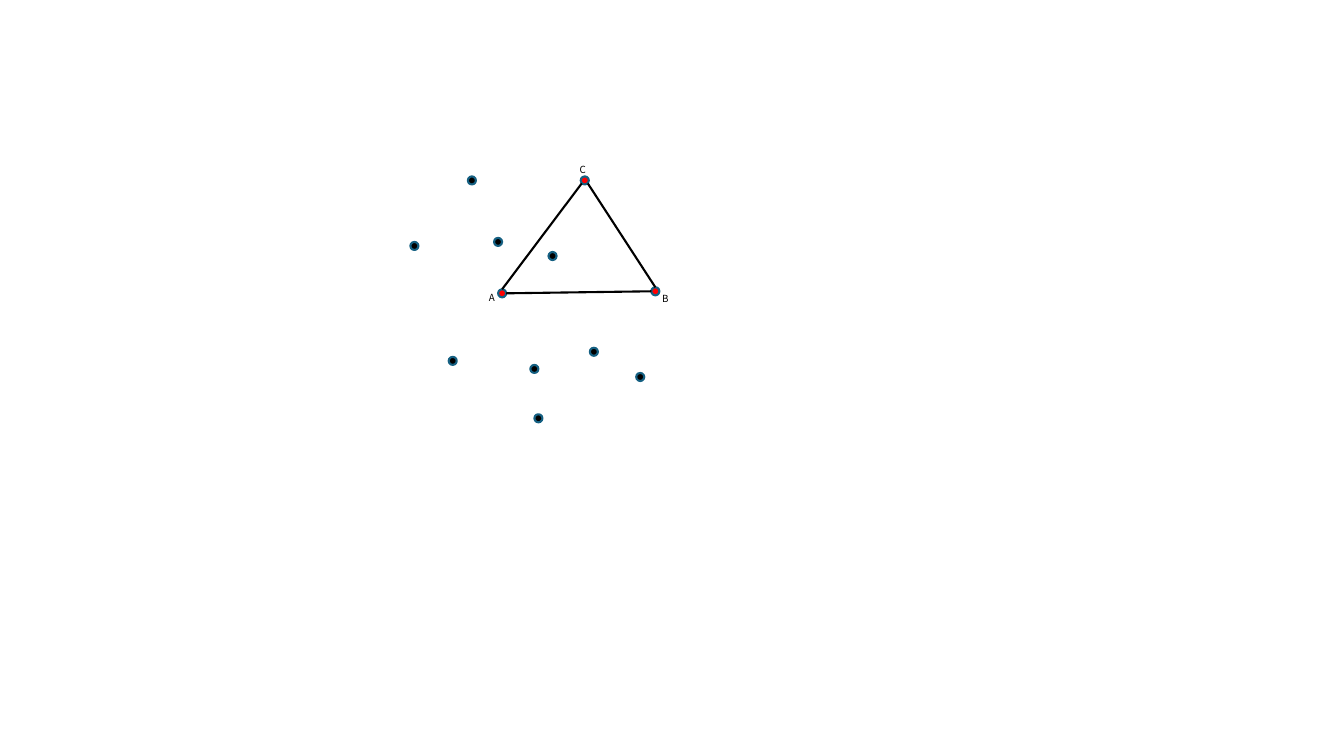
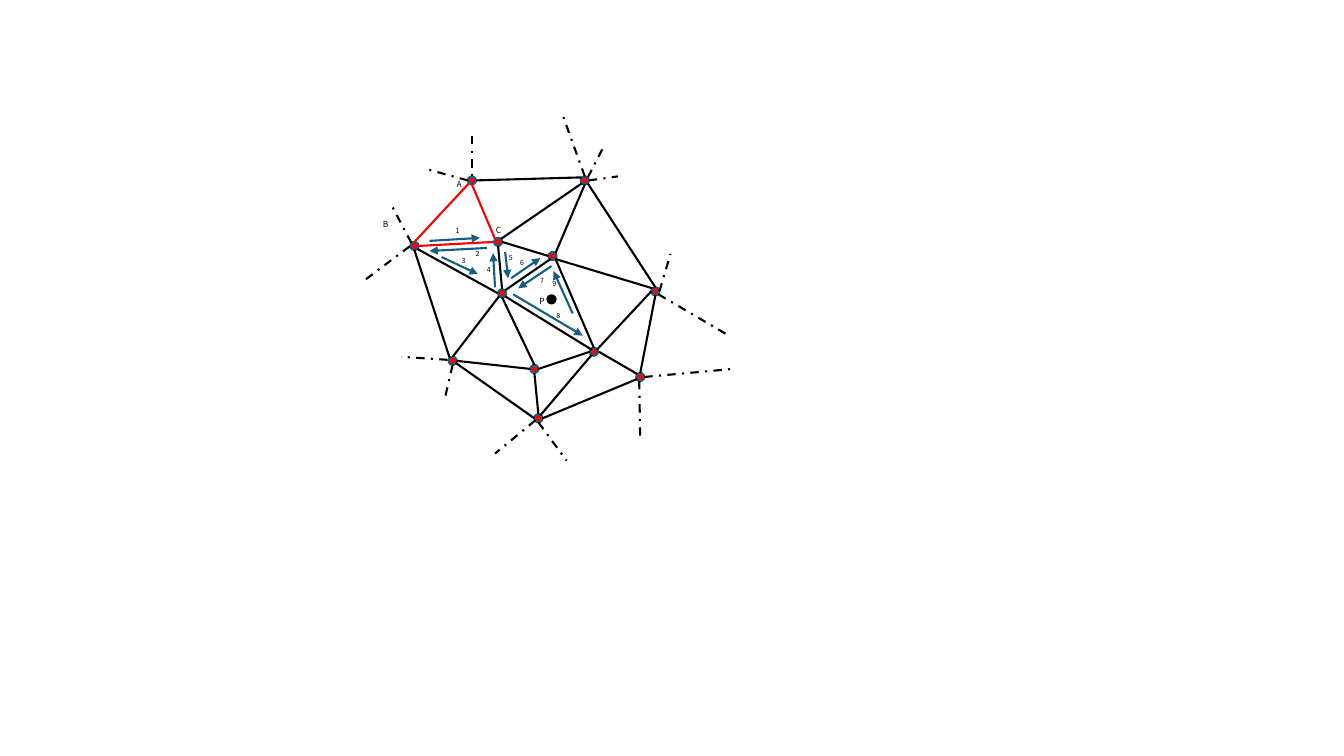
"""Build two slides showing a triangulated point set and a walk through it to point P."""
import lxml.etree
import pptx
import pptx.dml.color
import pptx.enum.dml
import pptx.enum.shapes
import pptx.enum.text
import pptx.oxml
import pptx.oxml.ns
import pptx.util

Inches = pptx.util.Inches
RGBColor = pptx.dml.color.RGBColor

BLACK = RGBColor(0x00, 0x00, 0x00)
RED = RGBColor(0xFF, 0x00, 0x00)
TEAL = RGBColor(0x15, 0x60, 0x82)
FONT = "Noto Sans CJK SC"
DOT_SIZE = 0.08
LINE_WIDTH = 1.5
LABEL_BOXES = {7: (0.26, 0.22), 6: (0.25, 0.2), 5: (0.24, 0.19)}

TRIANGLE_POINTS = [(5.76, 1.75), (6.46, 2.85), (4.94, 2.87)]
OTHER_POINTS = [
    (5.3, 4.11), (6.31, 3.7), (4.45, 3.54), (4.64, 1.75), (4.07, 2.4),
    (5.26, 3.62), (5.85, 3.45), (5.44, 2.5), (4.9, 2.36),
]
TARGET_POINT = (5.43, 2.93)

SHARED_EDGE = (5.83, 1.82, 6.5, 2.85)
TRIANGLE_EDGES = [(5.77, 1.82, 4.98, 2.87), (5.02, 2.91, 6.46, 2.89), SHARED_EDGE]
TRIANGLE_LABELS = [("A", 4.75, 2.84), ("C", 5.65, 1.57), ("B", 6.47, 2.85)]

MESH_EDGES = [
    (4.11, 2.48, 4.46, 3.55), (5.3, 4.15, 4.52, 3.6), (6.32, 3.76, 5.38, 4.15),
    (6.5, 2.93, 6.35, 3.7), (5.77, 1.76, 4.72, 1.79), SHARED_EDGE,
    (5.94, 3.49, 6.32, 3.71), (5.34, 3.66, 5.85, 3.49), (5.3, 3.7, 5.34, 4.11),
    (4.53, 3.58, 5.26, 3.66), (5.36, 4.12, 5.87, 3.52), (4.95, 2.94, 4.49, 3.54),
    (5.01, 2.94, 5.87, 3.47), (4.94, 2.44, 4.98, 2.87), (5.8, 1.83, 5.51, 2.51),
    (5.51, 2.57, 5.89, 3.45), (4.97, 2.37, 5.77, 1.82), (5.51, 2.57, 6.47, 2.86),
    (5.92, 3.47, 6.46, 2.89), (4.14, 2.47, 4.94, 2.91), (5.46, 2.57, 5.01, 2.88),
    (4.98, 2.4, 5.44, 2.54), (4.98, 2.95, 5.3, 3.62),
]
START_EDGES = [(4.65, 1.82, 4.11, 2.4), (4.68, 1.83, 4.91, 2.37), (4.15, 2.44, 4.9, 2.4)]
OUTER_EDGES = [
    (6.34, 3.78, 6.35, 4.38), (6.54, 2.89, 6.65, 2.52), (5.83, 1.76, 6, 1.43),
    (4.68, 1.35, 4.68, 1.75), (5.34, 4.19, 5.62, 4.57), (4.44, 3.57, 3.98, 3.54),
    (3.63, 2.77, 4.07, 2.44), (6.39, 3.74, 7.27, 3.66), (6.53, 2.92, 7.23, 3.33),
    (5.84, 1.79, 6.13, 1.75), (4.64, 1.79, 4.2, 1.67), (4.08, 2.41, 3.88, 2.03),
    (4.49, 3.62, 4.41, 3.96), (5.8, 1.75, 5.58, 1.14), (5.31, 4.17, 4.91, 4.5),
]
MESH_LABELS = [("A", 4.43, 1.73), ("B", 3.7, 2.12), ("C", 4.82, 2.18), ("P", 5.25, 2.89)]
WALK_STEPS = [
    ((4.26, 2.39, 4.76, 2.36), (4.42, 2.2)),
    ((4.83, 2.46, 4.26, 2.49), (4.62, 2.43)),
    ((4.38, 2.55, 4.74, 2.72), (4.48, 2.5)),
    ((4.91, 2.85, 4.89, 2.51), (4.73, 2.58)),
    ((5.01, 2.5, 5.04, 2.76), (4.95, 2.47)),
    ((5.07, 2.76, 5.36, 2.56), (5.06, 2.52)),
    ((5.47, 2.64, 5.14, 2.86), (5.26, 2.69)),
    ((5.09, 2.92, 5.78, 3.33), (5.42, 3.04)),
    ((5.68, 3.11, 5.49, 2.69), (5.38, 2.72)),
]


def add_dots(slide, points, fill_color, line_color=TEAL):
    for left, top in points:
        dot = slide.shapes.add_shape(
            pptx.enum.shapes.MSO_SHAPE.OVAL,
            Inches(left), Inches(top), Inches(DOT_SIZE), Inches(DOT_SIZE))
        dot.shadow.inherit = False
        dot.fill.solid()
        dot.fill.fore_color.rgb = fill_color
        dot.line.color.rgb = line_color
        dot.line.width = pptx.util.Pt(LINE_WIDTH)


def add_lines(slide, edges, color=BLACK, dashed=False, arrow=False):
    for edge in edges:
        connector = slide.shapes.add_connector(
            pptx.enum.shapes.MSO_CONNECTOR.STRAIGHT, *map(Inches, edge))
        connector.line.color.rgb = color
        connector.line.width = pptx.util.Pt(LINE_WIDTH)
        if dashed:
            connector.line.dash_style = pptx.enum.dml.MSO_LINE.DASH_DOT
        properties = connector._element.spPr
        if arrow:
            outline = properties.find(pptx.oxml.ns.qn("a:ln"))
            lxml.etree.SubElement(outline, pptx.oxml.ns.qn("a:tailEnd"), type="triangle")
        lxml.etree.SubElement(properties, pptx.oxml.ns.qn("a:effectLst"))


def add_labels(slide, labels, size):
    width, height = LABEL_BOXES[size]
    for text, left, top in labels:
        box = slide.shapes.add_textbox(
            Inches(left), Inches(top), Inches(width), Inches(height))
        frame = box.text_frame
        frame.word_wrap = False
        frame.auto_size = pptx.enum.text.MSO_AUTO_SIZE.SHAPE_TO_FIT_TEXT
        run = frame.paragraphs[0].add_run()
        run.text = text
        run.font.name = FONT
        run.font.size = pptx.util.Pt(size)
        run.font.color.rgb = BLACK


def build_triangle_slide(slide):
    add_dots(slide, OTHER_POINTS, BLACK)
    add_dots(slide, TRIANGLE_POINTS, RED)
    add_lines(slide, TRIANGLE_EDGES)
    add_labels(slide, TRIANGLE_LABELS, 7)


def build_walk_slide(slide):
    add_dots(slide, OTHER_POINTS + TRIANGLE_POINTS, RED)
    add_lines(slide, MESH_EDGES)
    add_lines(slide, START_EDGES, RED)
    add_dots(slide, [TARGET_POINT], BLACK, BLACK)
    add_labels(slide, MESH_LABELS, 6)
    add_lines(slide, [arrow for arrow, _ in WALK_STEPS], TEAL, arrow=True)
    step_labels = [(str(number), *position)
                   for number, (_, position) in enumerate(WALK_STEPS, 1)]
    add_labels(slide, step_labels, 5)
    add_lines(slide, OUTER_EDGES, dashed=True)


def main():
    presentation = pptx.Presentation()
    presentation.slide_width = Inches(13.33)
    presentation.slide_height = Inches(7.5)
    for build in (build_triangle_slide, build_walk_slide):
        build(presentation.slides.add_slide(presentation.slide_layouts[6]))
    presentation.save("out.pptx")


if __name__ == "__main__":
    main()
